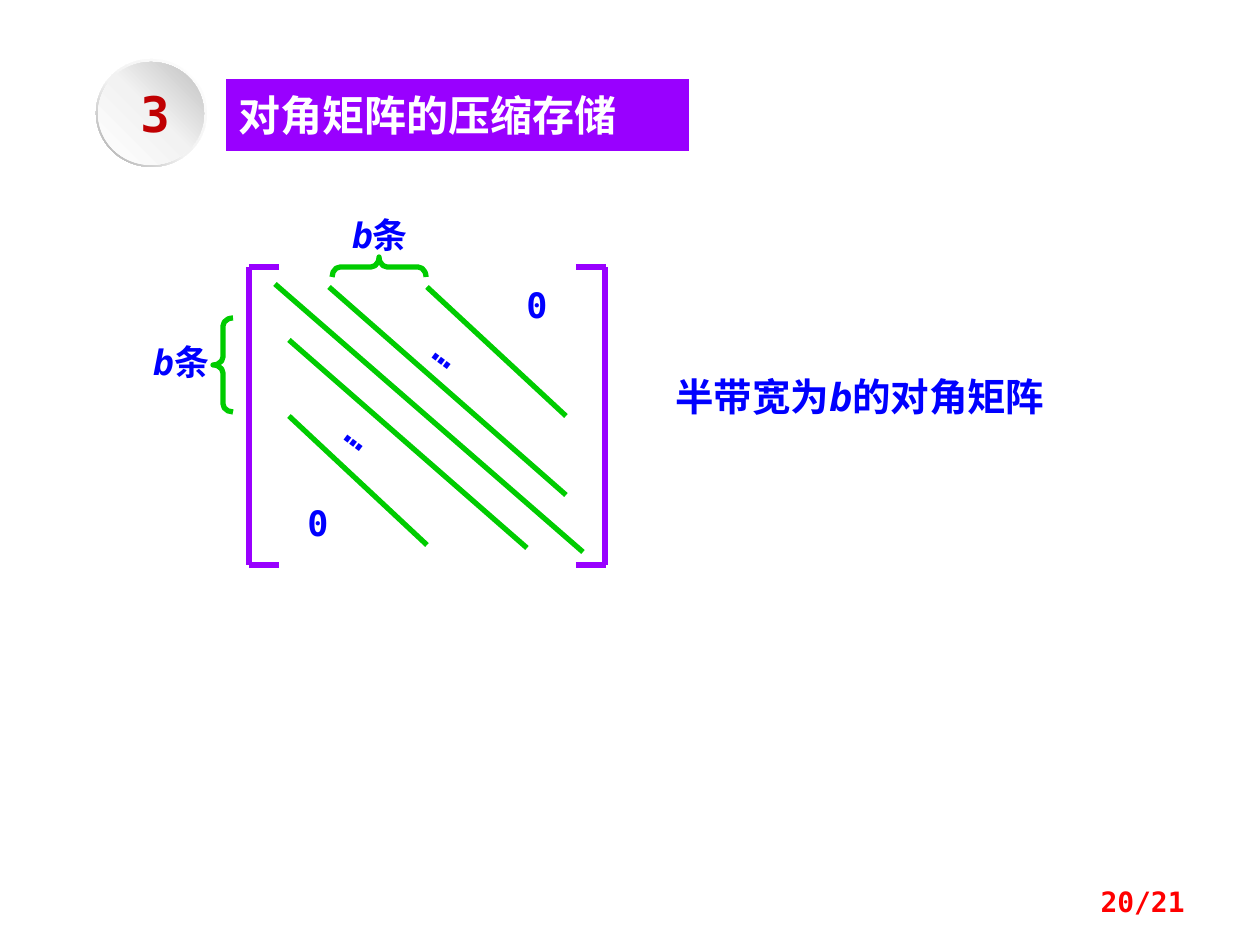
import copy

import pptx
import pptx.dml.color
import pptx.enum.shapes
import pptx.enum.text
import pptx.oxml.ns
import pptx.oxml.xmlchemy
import pptx.util

RGB = pptx.dml.color.RGBColor
SHAPE = pptx.enum.shapes.MSO_SHAPE
ALIGN = pptx.enum.text.PP_ALIGN
ANCHOR = pptx.enum.text.MSO_ANCHOR
SCALE = 914400 / 126
FONT = "DejaVu Sans Mono"

WHITE = RGB(0xFF, 0xFF, 0xFF)
PURPLE = RGB(0x99, 0x00, 0xFF)
BLUE = RGB(0x00, 0x00, 0xFF)
GREEN = RGB(0x00, 0xCC, 0x00)
RED = RGB(0xFF, 0x00, 0x00)
CRIMSON = RGB(0xC0, 0x00, 0x02)
PALE = RGB(0xF2, 0xF2, 0xF2)
SILVER = RGB(0xBF, 0xBF, 0xBF)
GRAY = RGB(0xA6, 0xA6, 0xA6)


def px(*vals):
    return [pptx.util.Emu(round(val * SCALE)) for val in vals]


def apply(item, form):
    for name, val in form.items():
        setattr(item, name, val)


def write(shape, parts, size, color, align=ALIGN.CENTER, anchor=ANCHOR.TOP):
    frame = shape.text_frame
    apply(frame, {"word_wrap": True, "vertical_anchor": anchor})
    para = frame.paragraphs[0]
    para.alignment = align
    for part in parts:
        run = para.add_run()
        run.text = part
        apply(run.font, {"name": FONT, "size": pptx.util.Pt(size),
                         "bold": True, "italic": part == "b"})
        run.font.color.rgb = color


def add_text(slide, box, parts, size, color, turn=0, inset=None, **form):
    text = slide.shapes.add_textbox(*px(*box))
    text.rotation = turn
    if inset is not None:
        sides = ("left", "top", "right", "bottom")
        apply(text.text_frame, {f"margin_{side}": inset for side in sides})
    write(text, parts, size, color, **form)


def add_shape(slide, kind, box):
    shape = slide.shapes.add_shape(kind, *px(*box))
    shape.shadow.inherit = False
    return shape


def add_line(slide, ends, color):
    kind = pptx.enum.shapes.MSO_CONNECTOR.STRAIGHT
    line = slide.shapes.add_connector(kind, *px(*ends))
    line.line.color.rgb = color
    line.line.width = pptx.util.Pt(3)
    effect = pptx.oxml.xmlchemy.OxmlElement("a:effectLst")
    line._element.spPr.append(effect)


def add_brace(slide, box, turn):
    brace = add_shape(slide, SHAPE.LEFT_BRACE, box)
    brace.rotation = turn
    brace.adjustments[0] = 0.4
    brace.fill.background()
    brace.line.color.rgb = GREEN
    brace.line.width = pptx.util.Pt(3)


def add_disc(slide, kind, box, stops, angle):
    disc = add_shape(slide, kind, box)
    disc.line.fill.background()
    disc.fill.gradient()
    disc.fill.gradient_angle = angle
    first = disc._element.spPr.find(".//" + pptx.oxml.ns.qn("a:gs"))
    first.addnext(copy.deepcopy(first))
    for stop, (place, color) in zip(disc.fill.gradient_stops, stops):
        stop.position = place
        stop.color.rgb = color
    return disc


def add_title(slide):
    bar = add_shape(slide, SHAPE.RECTANGLE, (226, 79, 463, 72))
    bar.fill.solid()
    bar.fill.fore_color.rgb = PURPLE
    bar.line.fill.background()
    apply(bar.text_frame, dict(zip(("margin_top", "margin_bottom"), px(10, 10))))
    write(bar, ["对角矩阵的压缩存储"], 24, WHITE, ALIGN.LEFT)


def add_badge(slide):
    ring = add_disc(slide, SHAPE.DONUT, (96, 59, 111, 108),
                    ((0, WHITE), (0.55, PALE), (1, GRAY)), 225)
    ring.adjustments[0] = 0.05
    add_disc(slide, SHAPE.OVAL, (98, 62, 106, 103),
             ((0, WHITE), (0.51, PALE), (1, SILVER)), 45)
    add_text(slide, (126, 84, 58, 59), ["3"], 28, CRIMSON, inset=0)


def add_matrix(slide):
    head, foot = 267, 565
    for side, left, right in ((249, 249, 279), (605, 576, 606)):
        add_line(slide, (side, head, side, foot), PURPLE)
        for row in (head, foot):
            add_line(slide, (left, row, right, row), PURPLE)
    for ends in ((275, 284, 583, 552), (329, 287, 566, 495),
                 (427, 287, 566, 416), (289, 340, 527, 548),
                 (289, 416, 427, 545)):
        add_line(slide, ends, GREEN)
    for left, top, turn in ((213, 318, 0), (369, 220, 90)):
        add_brace(slide, (left, top, 20, 94), turn)
    count = ["b", "条"]
    for left, top, parts, turn in ((131, 334, count, 0), (330, 207, count, 0),
                                   (268, 495, ["0"], 0), (487, 277, ["0"], 0),
                                   (310, 407, ["…"], 36.9),
                                   (398, 325, ["…"], 36.9)):
        add_text(slide, (left, top, 100, 54), parts, 20, BLUE, turn)


def main():
    deck = pptx.Presentation()
    deck.slide_width, deck.slide_height = px(1260, 945)
    slide = deck.slides.add_slide(deck.slide_layouts[6])
    add_title(slide)
    add_text(slide, (663, 367, 458, 59), ["半带宽为", "b", "的对角矩阵"],
             22, BLUE, align=ALIGN.LEFT)
    add_matrix(slide)
    add_text(slide, (903, 876, 294, 50), ["20/21"], 16, RED,
             align=ALIGN.RIGHT, anchor=ANCHOR.MIDDLE)
    add_badge(slide)
    deck.save("out.pptx")


if __name__ == "__main__":
    main()
